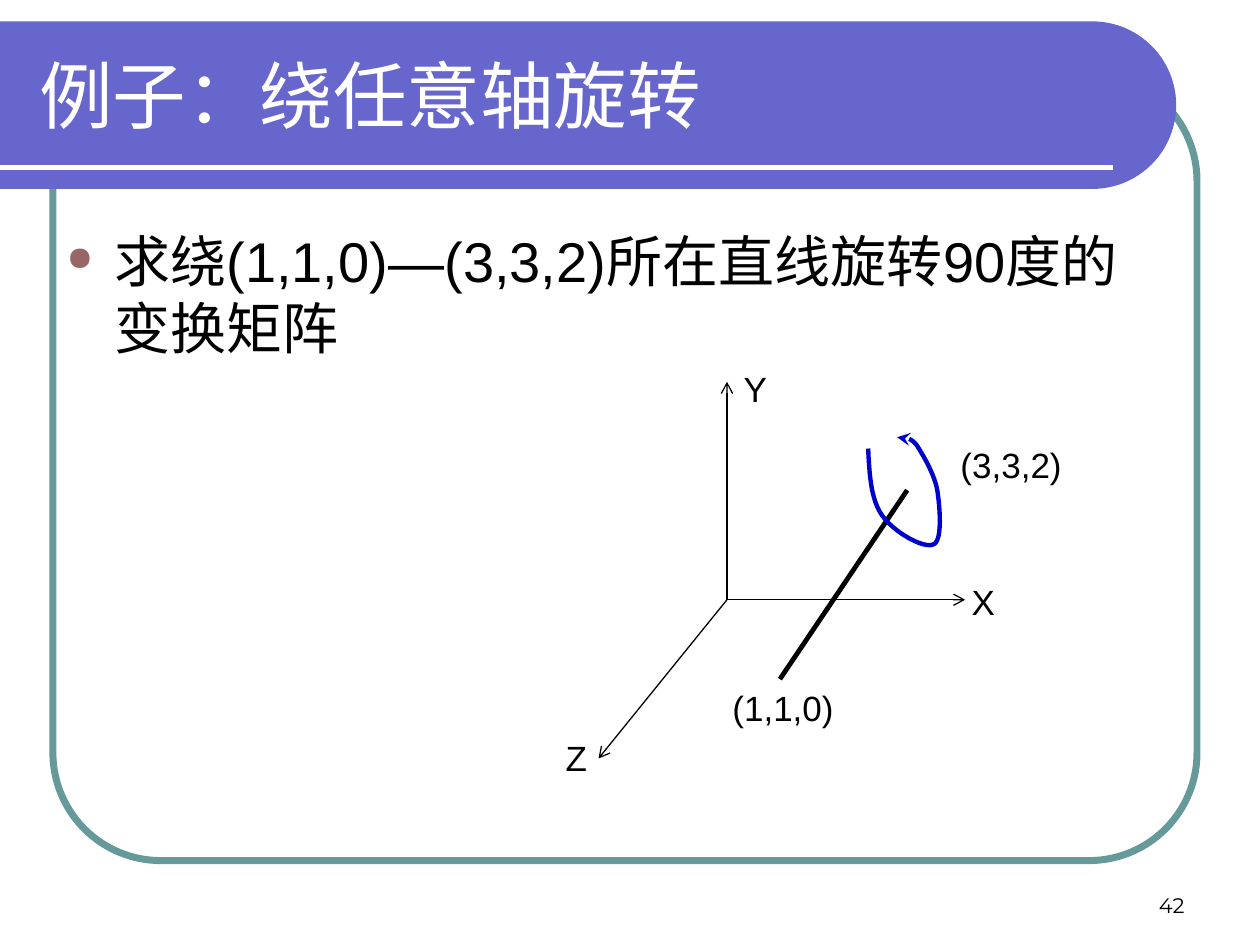
from math import cos, pi, sin

from lxml.etree import SubElement
from pptx import Presentation
from pptx.dml.color import RGBColor
from pptx.enum.shapes import MSO_CONNECTOR, MSO_SHAPE
from pptx.enum.text import MSO_ANCHOR, MSO_AUTO_SIZE, PP_ALIGN
from pptx.oxml.ns import qn
from pptx.util import Inches, Pt

BLACK = RGBColor(0x00, 0x00, 0x00)
WHITE = RGBColor(0xFF, 0xFF, 0xFF)
TEAL = RGBColor(0x66, 0x99, 0x99)
PURPLE = RGBColor(0x66, 0x66, 0xCC)
BLUE = RGBColor(0x00, 0x00, 0xCC)
BULLET_COLOR = RGBColor(0x99, 0x66, 0x66)

TITLE = "例子：绕任意轴旋转"
BODY = "求绕(1,1,0)—(3,3,2)所在直线旋转90度的变换矩阵"
PAGE_NUMBER = "42"
ORIGIN = (5.77, 4.76)
AXIS_ENDS = [(5.77, 3.03), (7.66, 4.76), (4.75, 6.02)]
ROTATION_AXIS = [(6.19, 5.39), (7.2, 3.89)]
LABELS = [
    ("Y", 5.8, 2.87, 0.39),
    ("X", 7.61, 4.56, 0.39),
    ("Z", 4.39, 5.8, 0.37),
    ("(1,1,0)", 5.71, 5.4, 1.01),
    ("(3,3,2)", 7.52, 3.47, 1.01),
]
ROTATION_START = (6.89, 3.56)
ROTATION_CURVES = [
    [(6.9, 3.76), (6.91, 3.96), (7, 4.09)],
    [(7.09, 4.22), (7.33, 4.36), (7.41, 4.32)],
    [(7.48, 4.29), (7.46, 4.03), (7.44, 3.9)],
    [(7.42, 3.77), (7.33, 3.62), (7.28, 3.54)],
    [(7.23, 3.47), (7.18, 3.47), (7.12, 3.47)],
]
HEADER_TOP, HEADER_BOTTOM, HEADER_STRAIGHT = 0.17, 1.5, 8.67


def write_text(shape, text, size, color=BLACK, font="Arial", align=PP_ALIGN.LEFT,
               anchor=MSO_ANCHOR.TOP, wrap=True):
    text_frame = shape.text_frame
    text_frame.text = text
    text_frame.auto_size = MSO_AUTO_SIZE.NONE
    text_frame.word_wrap = wrap
    text_frame.vertical_anchor = anchor
    paragraph = text_frame.paragraphs[0]
    paragraph.alignment = align
    run_font = paragraph.runs[0].font
    run_font.name, run_font.size = font, Pt(size)
    run_font.color.rgb = color
    return paragraph


def add_text(slide, box, text, size, **options):
    shape = slide.shapes.add_textbox(*map(Inches, box))
    return write_text(shape, text, size, **options)


def add_arrowhead(shape, kind):
    SubElement(shape.line._get_or_add_ln(), qn("a:tailEnd"), type=kind)


def add_line(slide, start, end, width, color=BLACK):
    line = slide.shapes.add_connector(MSO_CONNECTOR.STRAIGHT, *map(Inches, start + end))
    line.line.color.rgb = color
    line.line.width = Pt(width)
    SubElement(line.element.spPr, qn("a:effectLst"))
    return line


def add_outline(slide, points, close):
    start, *others = [(Inches(x), Inches(y)) for x, y in points]
    builder = slide.shapes.build_freeform(*start)
    builder.add_line_segments(others, close=close)
    shape = builder.convert_to_shape()
    shape.shadow.inherit = False
    return shape


def curve_points(start, curves, steps=12):
    points = [start]
    for first, second, end in curves:
        corners = (points[-1], first, second, end)
        for step in range(1, steps + 1):
            t = step / steps
            weights = ((1 - t) ** 3, 3 * t * (1 - t) ** 2, 3 * t * t * (1 - t), t ** 3)
            points.append(tuple(sum(w * corner[axis] for w, corner in zip(weights, corners))
                                for axis in (0, 1)))
    return points


def add_background(slide):
    frame = slide.shapes.add_shape(MSO_SHAPE.ROUNDED_RECTANGLE,
                                   *map(Inches, (0.42, 0.58, 9.08, 6.25)))
    frame.adjustments[0] = 0.137
    frame.shadow.inherit = False
    frame.fill.background()
    frame.line.color.rgb = TEAL
    frame.line.width = Pt(4)

    radius = (HEADER_BOTTOM - HEADER_TOP) / 2
    angles = [pi * step / 48 - pi / 2 for step in range(49)]
    arc = [(HEADER_STRAIGHT + radius * cos(angle), HEADER_TOP + radius + radius * sin(angle))
           for angle in angles]
    header = add_outline(slide, [(0, HEADER_TOP), *arc, (0, HEADER_BOTTOM)], True)
    header.fill.solid()
    header.fill.fore_color.rgb = PURPLE
    header.line.fill.background()
    add_line(slide, (0, 1.33), (8.83, 1.33), 3, WHITE)


def add_title(slide):
    title = slide.shapes.title
    title.left, title.top, title.width, title.height = map(Inches, (0.21, 0.25, 8.77, 1))
    write_text(title, TITLE, 42, color=WHITE, anchor=MSO_ANCHOR.MIDDLE)
    title.element.getparent().append(title.element)


def add_body(slide):
    paragraph = add_text(slide, (0.43, 1.75, 8.67, 4.83), BODY, 32)
    properties = paragraph._p.get_or_add_pPr()
    properties.set("marL", str(Inches(0.38)))
    properties.set("indent", str(Inches(-0.38)))
    color = SubElement(properties, qn("a:buClr"))
    SubElement(color, qn("a:srgbClr"), val=str(BULLET_COLOR))
    SubElement(properties, qn("a:buSzPct"), val="60000")
    SubElement(properties, qn("a:buChar"), char="●")


def add_diagram(slide):
    for end in AXIS_ENDS:
        add_arrowhead(add_line(slide, ORIGIN, end, 0.75), "arrow")
    add_line(slide, *ROTATION_AXIS, 2.75)
    for text, left, top, width in LABELS:
        add_text(slide, (left, top, width, 0.44), text, 20, align=PP_ALIGN.CENTER, wrap=False)
    rotation = add_outline(slide, curve_points(ROTATION_START, ROTATION_CURVES), False)
    rotation.fill.background()
    rotation.line.color.rgb = BLUE
    rotation.line.width = Pt(2.5)
    add_arrowhead(rotation, "stealth")


def main():
    presentation = Presentation()
    presentation.slide_width, presentation.slide_height = Inches(10), Inches(7.5)
    slide = presentation.slides.add_slide(presentation.slide_layouts[5])
    add_background(slide)
    add_title(slide)
    add_body(slide)
    add_text(slide, (7.17, 6.83, 2.33, 0.5), PAGE_NUMBER, 12, font="Montserrat",
             align=PP_ALIGN.RIGHT, anchor=MSO_ANCHOR.BOTTOM)
    add_diagram(slide)
    presentation.save("out.pptx")


if __name__ == "__main__":
    main()
